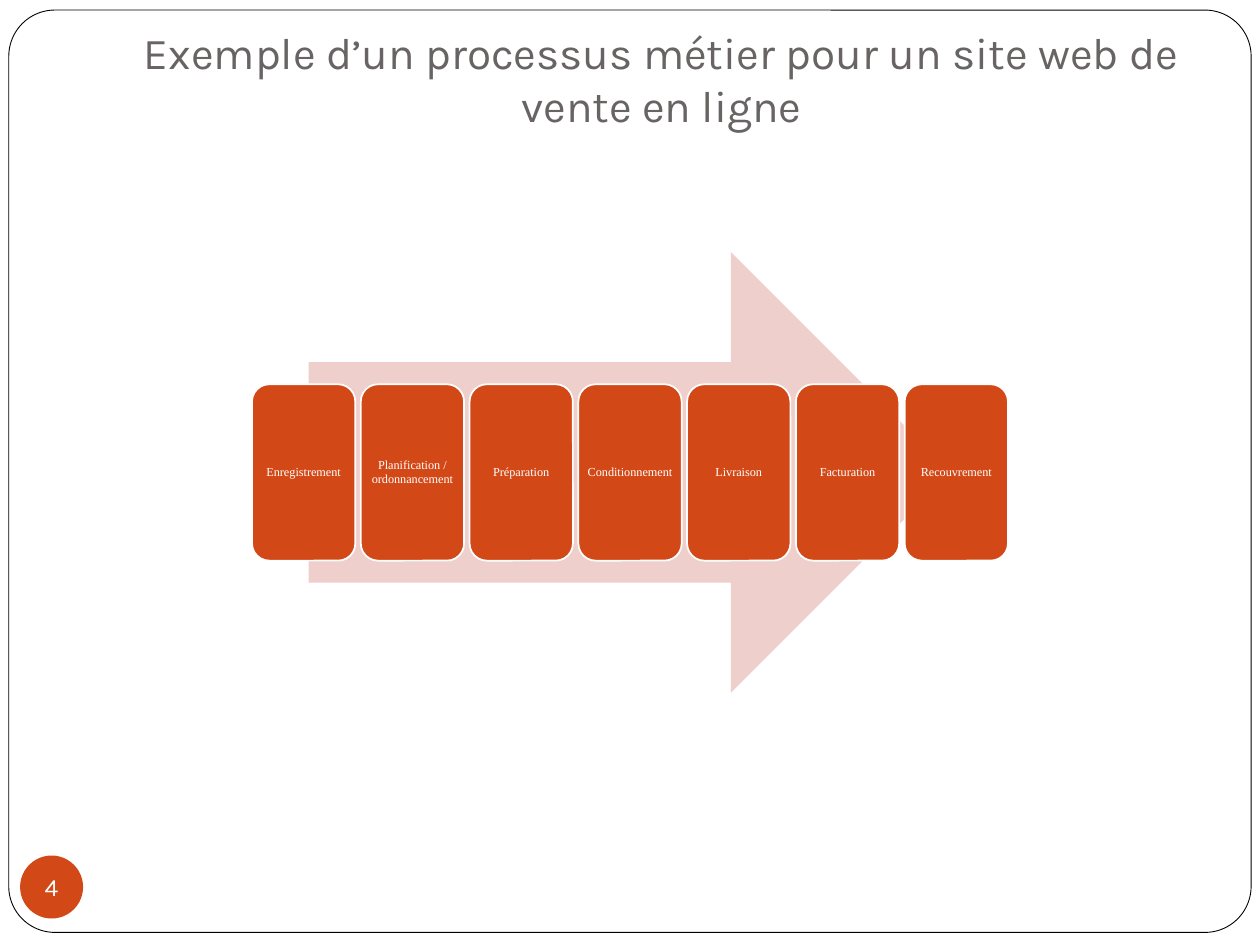
from pptx import Presentation
from pptx.dml.color import RGBColor
from pptx.enum.shapes import MSO_SHAPE
from pptx.enum.text import MSO_ANCHOR, MSO_AUTO_SIZE, PP_ALIGN
from pptx.util import Inches, Pt

ROUND = MSO_SHAPE.ROUNDED_RECTANGLE
OVAL = MSO_SHAPE.OVAL
ARROW = MSO_SHAPE.RIGHT_ARROW
CENTER = PP_ALIGN.CENTER
MIDDLE = MSO_ANCHOR.MIDDLE
BOTTOM = MSO_ANCHOR.BOTTOM

COLORS = {
    "white": "FFFFFF",
    "black": "000000",
    "title": "696464",
    "accent": "D34817",
    "arrow": "EFCFCC",
}


def add_box(kind, left, top, width, height, fill, line=None, weight=1):
    box = slide.shapes.add_shape(
        kind, Inches(left), Inches(top), Inches(width), Inches(height))
    box.shadow.inherit = False
    box.fill.solid()
    box.fill.fore_color.rgb = RGBColor.from_string(COLORS[fill])
    if line:
        box.line.color.rgb = RGBColor.from_string(COLORS[line])
        box.line.width = Pt(weight)
    else:
        box.line.fill.background()
    return box


def write(shape, text, size, font, color, anchor, insets, wrap=True):
    frame = shape.text_frame
    frame.auto_size = MSO_AUTO_SIZE.NONE
    frame.word_wrap = wrap
    frame.vertical_anchor = anchor
    (frame.margin_left, frame.margin_top,
     frame.margin_right, frame.margin_bottom) = map(Inches, insets)
    para = frame.paragraphs[0]
    para.alignment = CENTER
    run = para.add_run()
    run.text = text
    run.font.size = Pt(size)
    run.font.name = font
    run.font.color.rgb = RGBColor.from_string(COLORS[color])
    return para


prs = Presentation()
prs.slide_width = Inches(10)
prs.slide_height = Inches(7.5)
slide = prs.slides.add_slide(prs.slide_layouts[5])

# Page frame, sent behind the title
frame = add_box(ROUND, 0.07, 0.08, 9.86, 7.32, "white", "black", 0.5)
frame.adjustments[0] = 0.05
slide.shapes._spTree.insert(2, frame._element)

# Title
title = slide.shapes.title
title.left, title.top = Inches(1), Inches(0.3)
title.width, title.height = Inches(8.5), Inches(1.25)
write(title, "Exemple d’un processus métier pour un site web de vente en ligne",
      25.2, "Karla", "title", BOTTOM, (0.1, 0.05, 0.1, 0.51))

# Slide number
badge = add_box(OVAL, 0.16, 6.79, 0.5, 0.5, "accent")
write(badge, "4", 14, "Karla", "white", MIDDLE, (0, 0, 0, 0), False)

# Process arrow
add_box(ARROW, 2.45, 2, 5.1, 3.5, "arrow")

# Process steps, spread evenly from 2 to 8 inches
steps = ["Enregistrement", "Planification / ordonnancement", "Préparation",
         "Conditionnement", "Livraison", "Facturation", "Recouvrement"]
width = 0.82
pitch = (6 - width) / (len(steps) - 1)
for i, step in enumerate(steps):
    card = add_box(ROUND, 2 + i * pitch, 3.05, width, 1.4, "accent", "white")
    para = write(card, step, 7, "Times New Roman", "white", MIDDLE, [0.03] * 4)
    para.line_spacing = 0.9

prs.save("out.pptx")
